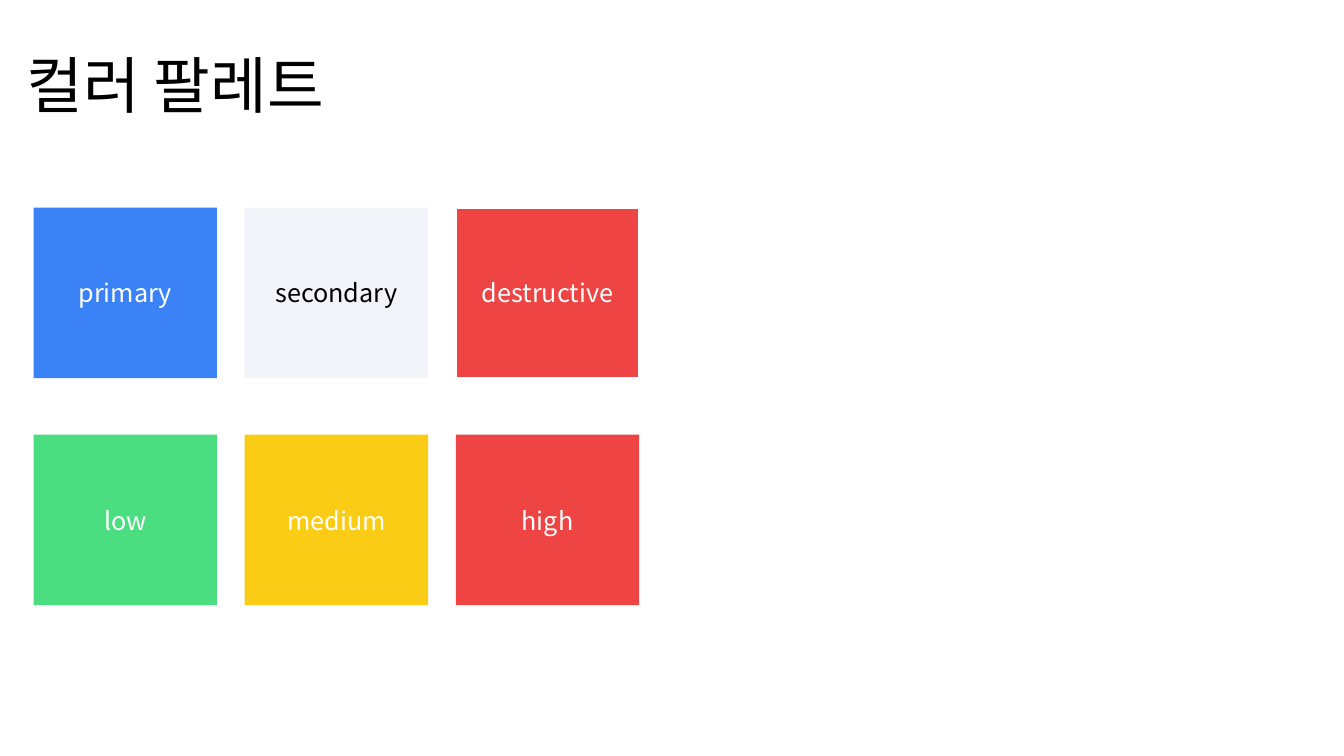
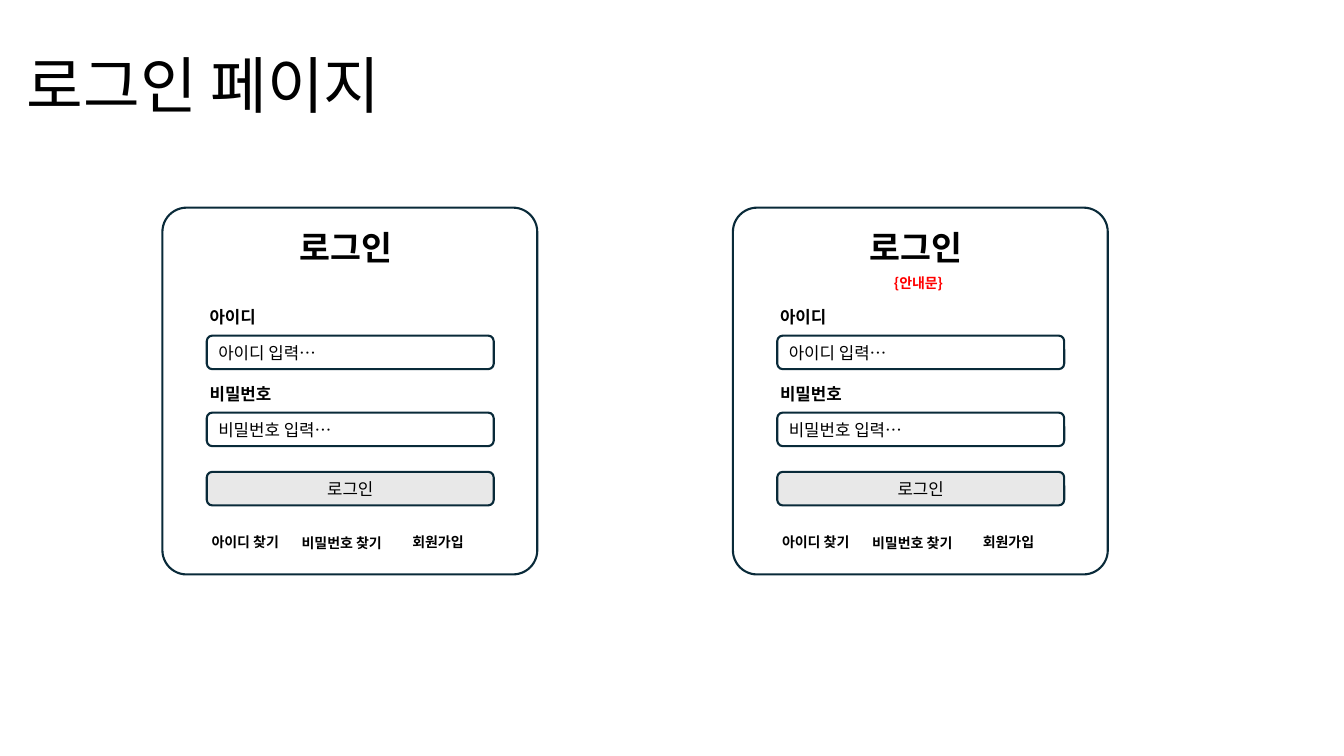
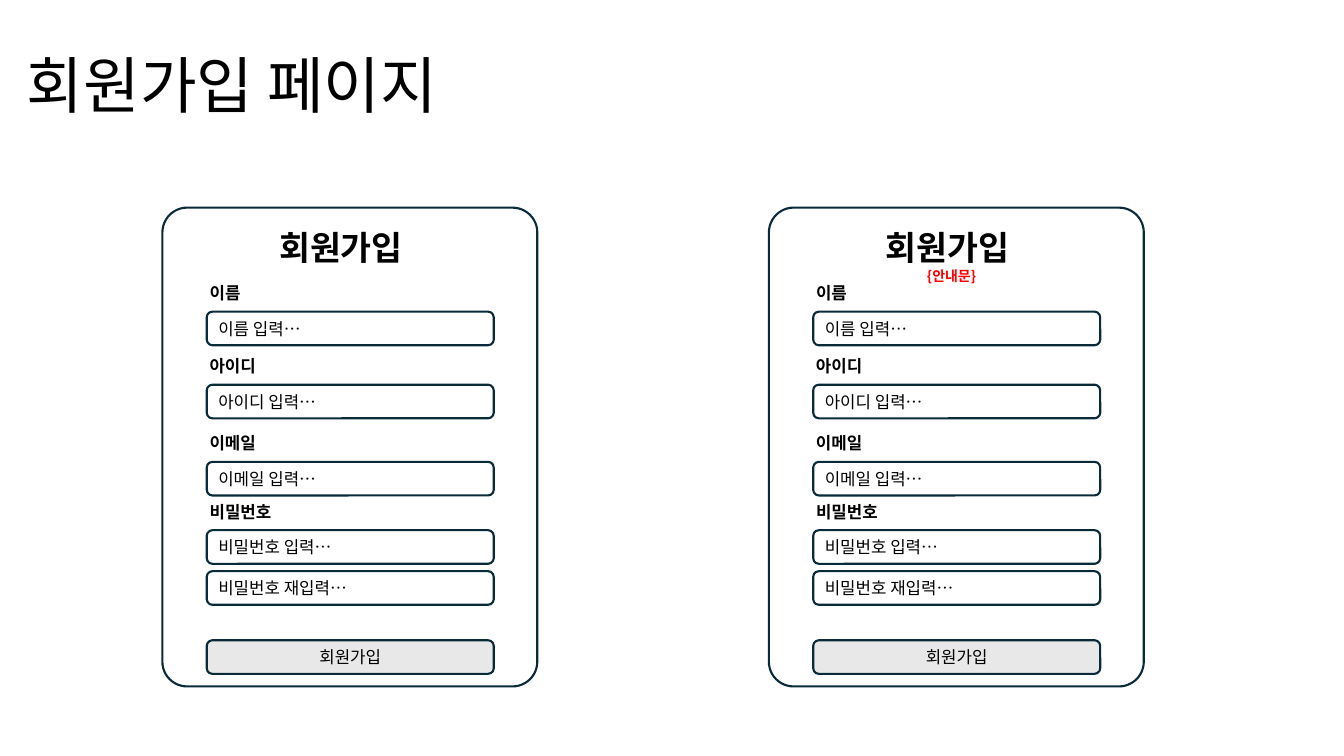
from dataclasses import dataclass

from lxml import etree
from pptx import Presentation
from pptx.dml.color import RGBColor
from pptx.enum import shapes, text
from pptx.oxml import ns
from pptx.util import Pt


@dataclass(frozen=True)
class Theme:
    font: str = "Noto Sans CJK KR"
    ink: str = "000000"
    paper: str = "FFFFFF"
    outline: str = "092A39"
    button: str = "E8E8E8"
    alert: str = "FF0000"
    title_size: int = 44
    heading_size: int = 24
    swatch_size: int = 18
    form_size: int = 12
    small_size: int = 10
    line_width: float = 1.5


@dataclass(frozen=True)
class Form:
    """Offsets are points from the card's top left corner."""
    name: str
    height: float
    heading_left: float
    fields: tuple  # label or None, prompt, top
    button_top: float
    notice_at: tuple
    links: tuple = ()  # wording, left, top


THEME = Theme()
CARD_TOP = 148.3
CARD_WIDTH = 267.8
FIELD_LEFT, FIELD_WIDTH, FIELD_HEIGHT = 31.7, 205, 24
LABEL_LEFT, LABEL_RISE = 26.6, 24.2

SWATCHES = (  # name, fill, text colour, line colour
    ("primary", "3B82F6", THEME.paper, None),
    ("secondary", "F1F5F9", THEME.ink, None),
    ("destructive", "EF4444", THEME.paper, THEME.paper),
    ("low", "4ADE80", THEME.paper, None),
    ("medium", "FACC15", THEME.paper, None),
    ("high", "EF4444", THEME.paper, None),
)

LOGIN = Form(
    name="로그인",
    height=262,
    heading_left=90.7,
    fields=(("아이디", "아이디 입력…", 91.4),
            ("비밀번호", "비밀번호 입력…", 146.4)),
    button_top=188.7,
    notice_at=(108, 43.9),
    links=(("아이디 찾기", 28, 229),
           ("비밀번호 찾기", 92.4, 229.7),
           ("회원가입", 171.4, 229)),
)

SIGN_UP = Form(
    name="회원가입",
    height=342,
    heading_left=76.3,
    fields=(("이름", "이름 입력…", 74.3),
            ("아이디", "아이디 입력…", 126.5),
            ("이메일", "이메일 입력…", 181.6),
            ("비밀번호", "비밀번호 입력…", 230.4),
            (None, "비밀번호 재입력…", 259.7)),
    button_top=309,
    notice_at=(105.9, 39.2),
)


def write(frame, wording, size, color=THEME.ink, bold=False, align=text.PP_ALIGN.LEFT):
    """Fill the frame with one paragraph and return that paragraph."""
    frame.text = wording
    paragraph = frame.paragraphs[0]
    paragraph.alignment = align
    font = paragraph.font
    font.name, font.size, font.bold = THEME.font, Pt(size), bold
    font.color.rgb = RGBColor.from_string(color)
    latin = paragraph._p.pPr.find(ns.qn("a:defRPr")).find(ns.qn("a:latin"))
    east_asian = etree.Element(ns.qn("a:ea"), typeface=THEME.font)
    latin.addnext(east_asian)
    return paragraph


def add_box(slide, kind, left, top, width, height, fill, line=None):
    box = slide.shapes.add_shape(kind, Pt(left), Pt(top), Pt(width), Pt(height))
    box.shadow.inherit = False
    box.fill.solid()
    box.fill.fore_color.rgb = RGBColor.from_string(fill)
    if line:
        box.line.color.rgb = RGBColor.from_string(line)
        box.line.width = Pt(THEME.line_width)
    else:
        box.line.fill.background()
    return box


def add_label(slide, wording, left, top, size, color=THEME.ink):
    """Add bold text in a box that fits it: Hangul is one em wide, the rest about a third."""
    ems = sum(1 if "가" <= letter <= "힣" else 0.36 for letter in wording)
    label = slide.shapes.add_textbox(
        Pt(left), Pt(top), Pt(ems * size + 14.4), Pt(1.2 * size + 7.2))
    write(label.text_frame, wording, size, color, bold=True)
    label.text_frame.word_wrap = False
    label.text_frame.auto_size = text.MSO_AUTO_SIZE.SHAPE_TO_FIT_TEXT


def add_control(slide, wording, left, top, fill, align):
    control = add_box(slide, shapes.MSO_SHAPE.ROUNDED_RECTANGLE, left, top,
                      FIELD_WIDTH, FIELD_HEIGHT, fill, THEME.outline)
    write(control.text_frame, wording, THEME.form_size, align=align)


def add_form(slide, form, left, notice=None):
    card = add_box(slide, shapes.MSO_SHAPE.ROUNDED_RECTANGLE, left, CARD_TOP,
                   CARD_WIDTH, form.height, THEME.paper, THEME.outline)
    card.adjustments[0] = 0.066
    add_label(slide, form.name, left + form.heading_left, CARD_TOP + 10, THEME.heading_size)
    for label, prompt, offset in form.fields:
        top = CARD_TOP + offset
        add_control(slide, prompt, left + FIELD_LEFT, top, THEME.paper, text.PP_ALIGN.LEFT)
        if label:
            add_label(slide, label, left + LABEL_LEFT, top - LABEL_RISE, THEME.form_size)
    add_control(slide, form.name, left + FIELD_LEFT, CARD_TOP + form.button_top,
                THEME.button, text.PP_ALIGN.CENTER)
    for wording, x, y in form.links:
        add_label(slide, wording, left + x, CARD_TOP + y, THEME.small_size)
    if notice:
        x, y = form.notice_at
        add_label(slide, notice, left + x, CARD_TOP + y, THEME.small_size, THEME.alert)


def add_palette(slide, columns=3):
    for index, (name, fill, color, line) in enumerate(SWATCHES):
        row, column = divmod(index, columns)
        swatch = add_box(slide, shapes.MSO_SHAPE.RECTANGLE, 24 + column * 150.8,
                         148.3 + row * 162.2, 131, 121.8, fill, line)
        write(swatch.text_frame, name, THEME.swatch_size, color, align=text.PP_ALIGN.CENTER)


def prepare_layout(deck):
    """Place the title once for every slide."""
    layout = deck.slide_layouts.get_by_name("Title Only")
    title = next(holder for holder in layout.placeholders
                 if holder.placeholder_format.type == shapes.PP_PLACEHOLDER.TITLE)
    title.left, title.top, title.width, title.height = Pt(12), Pt(11), Pt(935.5), Pt(104.4)
    title.text_frame.vertical_anchor = text.MSO_ANCHOR.MIDDLE
    return layout


def add_slide(deck, layout, title):
    slide = deck.slides.add_slide(layout)
    heading = write(slide.shapes.title.text_frame, title, THEME.title_size)
    heading.line_spacing = 0.9
    return slide


def main():
    deck = Presentation()
    deck.slide_width, deck.slide_height = Pt(960), Pt(540)
    layout = prepare_layout(deck)

    add_palette(add_slide(deck, layout, "컬러 팔레트"))
    for form, second_left in ((LOGIN, 523.5), (SIGN_UP, 549.2)):
        slide = add_slide(deck, layout, f"{form.name} 페이지")
        add_form(slide, form, 116)
        add_form(slide, form, second_left, notice="{안내문}")

    deck.save("out.pptx")


if __name__ == "__main__":
    main()
